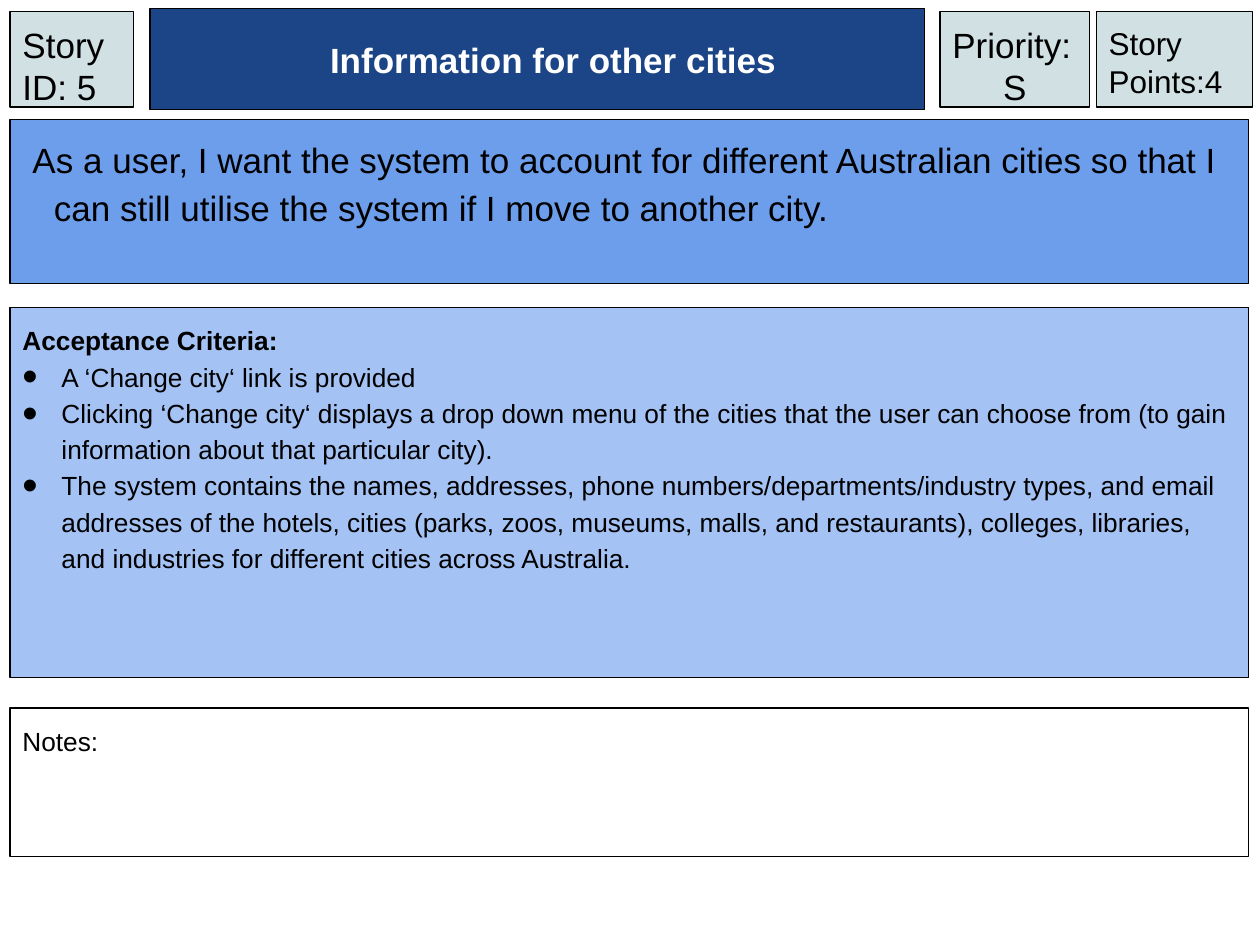
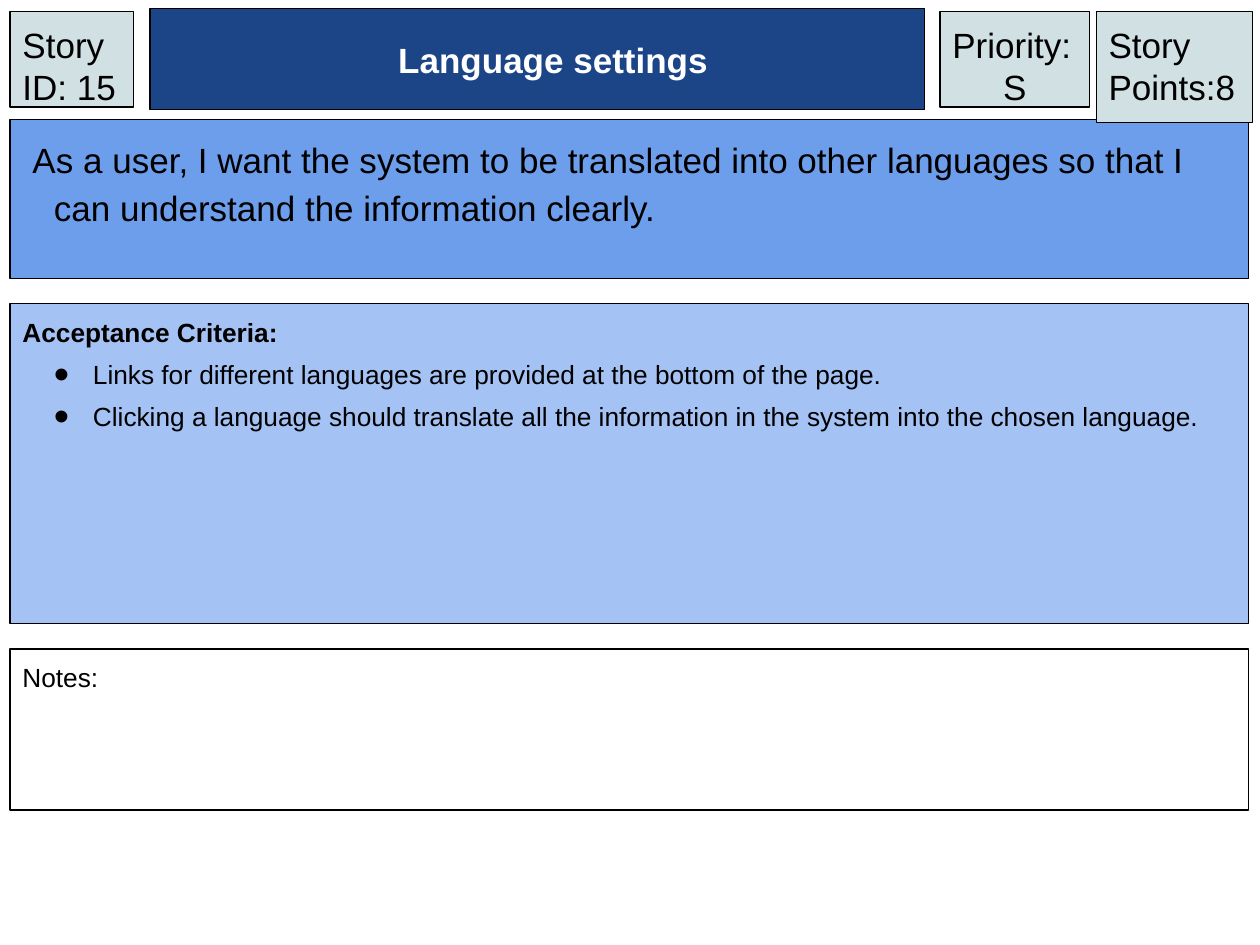
from dataclasses import dataclass

from lxml.etree import SubElement
from pptx import Presentation
from pptx.dml.color import RGBColor as Rgb
from pptx.enum.shapes import MSO_SHAPE as Shape
from pptx.enum.text import MSO_ANCHOR as Anchor, MSO_AUTO_SIZE as Fit, PP_ALIGN as Align
from pptx.oxml.ns import qn
from pptx.util import Inches, Pt

STORIES = [
    {
        "title": "Information for other cities",
        "id": "Story ID: 5",
        "rank": "S",
        "points": "Story Points:4",
        "points_size": 18,
        "points_high": 0.76,
        "want": "As a user, I want the system to account for different Australian cities "
                "so that I can still utilise the system if I move to another city.",
        "criteria": [
            "A ‘Change city‘ link is provided",
            "Clicking ‘Change city‘ displays a drop down menu of the cities that the user "
            "can choose from (to gain information about that particular city).",
            "The system contains the names, addresses, phone numbers/departments/industry "
            "types, and email addresses of the hotels, cities (parks, zoos, museums, malls, "
            "and restaurants), colleges, libraries, and industries for different cities "
            "across Australia.",
        ],
        "heights": (1.3, 2.94, 1.18),
        "gaps": (0.19, 0.24),
        "bullet_left": 0.31,
        "space": {"line_spacing": 1.15},
    },
    {
        "title": "Language settings",
        "id": "Story ID: 15",
        "rank": "S",
        "points": "Story Points:8",
        "points_size": 20,
        "points_high": 0.88,
        "want": "As a user, I want the system to be translated into other languages "
                "so that I can understand the information clearly.",
        "criteria": [
            "Links for different languages are provided at the bottom of the page.",
            "Clicking a language should translate all the information in the system "
            "into the chosen language.",
        ],
        "heights": (1.26, 2.54, 1.28),
        "gaps": (0.2, 0.2),
        "bullet_left": 0.56,
        "space": {"space_before": Pt(6)},
    },
]


@dataclass(frozen=True)
class Theme:
    font: str = "Arial"
    ink: str = "000000"
    paper: str = "FFFFFF"
    title: str = "1C4587"
    want: str = "6D9EEB"
    criteria: str = "A4C2F4"
    tag: str = "D0E0E3"
    large: int = 20
    small: int = 15
    edge: float = 0.75


THEME = Theme()
LEFT, WIDE, TOP = 0.08, 9.83, 0.95
TAG_TOP, TAG_HIGH = 0.09, 0.76
HANG = (0.38, -0.38)


def style(box, fill, anchor=Anchor.TOP):
    box.fill.solid()
    box.fill.fore_color.rgb = Rgb.from_string(fill)
    box.line.color.rgb = Rgb.from_string(THEME.ink)
    box.line.width = Pt(THEME.edge)
    frame = box.text_frame
    form = {"word_wrap": True, "auto_size": Fit.NONE, "vertical_anchor": anchor}
    form.update({f"margin_{side}": Inches(0.1) for side in ("left", "right", "top", "bottom")})
    for name, value in form.items():
        setattr(frame, name, value)


def add_bullet(props):
    color = SubElement(props, qn("a:buClr"))
    SubElement(color, qn("a:srgbClr"), val=THEME.ink)
    SubElement(props, qn("a:buSzPct"), val="167000")
    SubElement(props, qn("a:buFont"), typeface=THEME.font)
    SubElement(props, qn("a:buChar"), char="•")


def write(box, lines):
    """Fill a box from dicts of text and optional format values."""
    frame = box.text_frame
    for index, line in enumerate(lines):
        para = frame.add_paragraph() if index else frame.paragraphs[0]
        props = para._p.get_or_add_pPr()
        left, first = line.get("indent", (0, 0))
        props.set("marL", str(Inches(left)))
        props.set("indent", str(Inches(first)))
        if line.get("bullet"):
            add_bullet(props)
        para.alignment = line.get("align", Align.LEFT)
        for name, value in line.get("space", {}).items():
            if index or name != "space_before":
                setattr(para, name, value)
        run = para.add_run()
        run.text = line["text"]
        form = {"name": THEME.font, "size": Pt(line.get("size", THEME.large)),
                "bold": line.get("bold", False)}
        for name, value in form.items():
            setattr(run.font, name, value)
        run.font.color.rgb = Rgb.from_string(line.get("color", THEME.ink))


def add_box(slide, area, fill, lines):
    box = slide.shapes.add_shape(Shape.RECTANGLE, *map(Inches, area))
    box.shadow.inherit = False
    style(box, fill)
    write(box, lines)


def add_title(slide, text):
    title = slide.shapes.title
    area = zip(("left", "top", "width", "height"), (1.19, 0.07, 6.15, 0.8))
    for name, value in area:
        setattr(title, name, Inches(value))
    style(title, THEME.title, Anchor.MIDDLE)
    write(title, [{"text": text, "bold": True, "color": THEME.paper,
                   "align": Align.CENTER, "indent": (0, 0.25)}])


def add_panels(slide, story):
    space = story["space"]
    small = {"size": THEME.small, "space": space}
    bullets = [{"text": text, "bullet": True, "indent": (story["bullet_left"], -0.31), **small}
               for text in story["criteria"]]
    head = {"text": "Acceptance Criteria:", "bold": True, "indent": HANG, **small}
    panels = [
        (THEME.want, [{"text": story["want"], "indent": (0.25, -0.17),
                       "space": {"line_spacing": 1.15}}]),
        (THEME.criteria, [head, *bullets]),
        (THEME.paper, [{"text": "Notes:", "indent": HANG, **small}]),
    ]
    top = TOP
    for (fill, lines), high, gap in zip(panels, story["heights"], (*story["gaps"], 0)):
        add_box(slide, (LEFT, top, WIDE, high), fill, lines)
        top += high + gap


def add_tags(slide, story):
    tags = [
        (8.7, 1.24, story["points_high"],
         [{"text": story["points"], "size": story["points_size"]}]),
        (7.46, 1.19, TAG_HIGH,
         [{"text": "Priority:"}, {"text": story["rank"], "align": Align.CENTER}]),
        (LEFT, 0.98, TAG_HIGH, [{"text": story["id"]}]),
    ]
    for left, wide, high, lines in tags:
        add_box(slide, (left, TAG_TOP, wide, high), THEME.tag, lines)


def main():
    deck = Presentation()
    deck.slide_width, deck.slide_height = Inches(10), Inches(7.5)
    for story in STORIES:
        slide = deck.slides.add_slide(deck.slide_layouts[5])
        add_title(slide, story["title"])
        add_panels(slide, story)
        add_tags(slide, story)
    deck.save("out.pptx")


if __name__ == "__main__":
    main()
